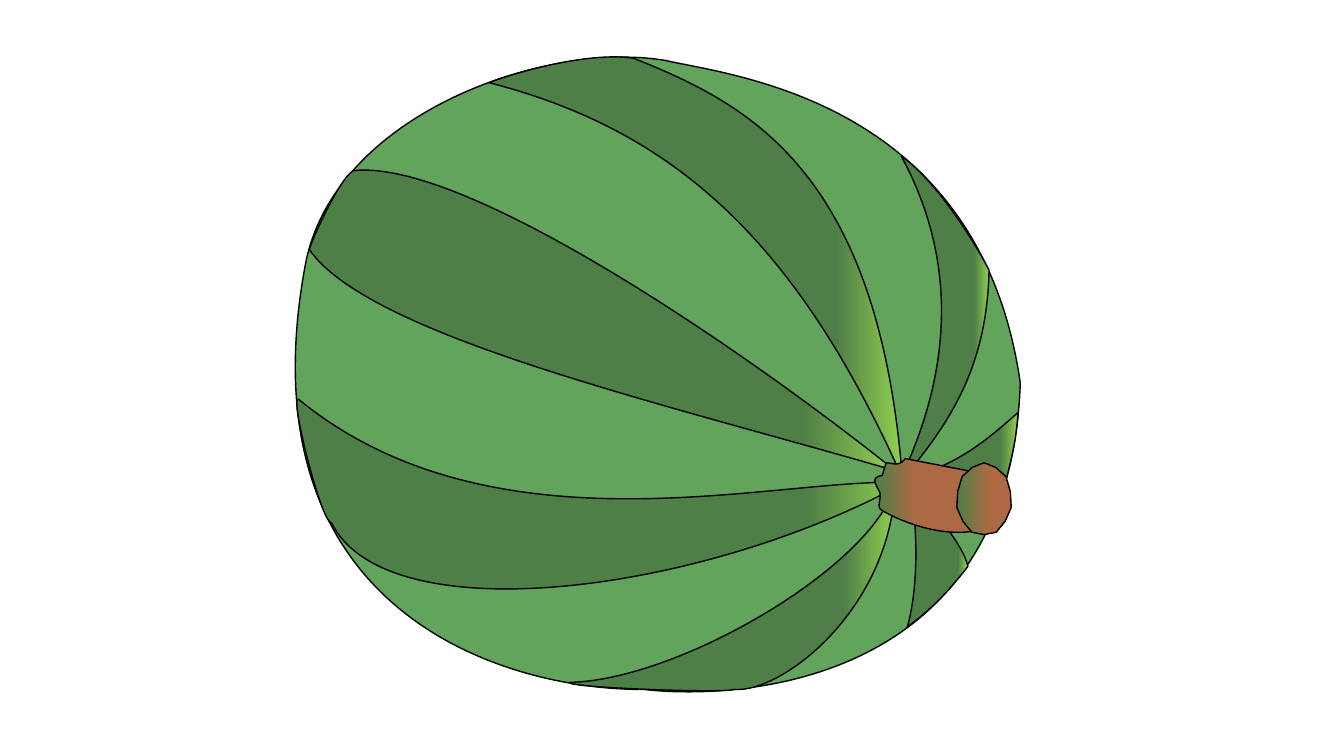
"""Draw a striped watermelon with a brown stem on one slide."""
from lxml.etree import SubElement
from pptx import Presentation
from pptx.dml.color import RGBColor
from pptx.enum.shapes import MSO_SHAPE
from pptx.oxml.ns import qn
from pptx.util import Pt

PX = 9144
BLACK, RIND, STRIPE, LIME, BROWN = "000000", "62A45C", "4E7F47", "92D050", "AD6943"


def paint(sp, colors, stop=0, angle=0):
    sp.shadow.inherit = False
    sp.line.color.rgb = RGBColor.from_string(BLACK)
    sp.line.width = Pt(1)
    if len(colors) == 1:
        sp.fill.solid()
        sp.fill.fore_color.rgb = RGBColor.from_string(colors[0])
        return
    sp.fill.gradient()
    sp.fill.gradient_angle = angle
    for gs, color, position in zip(sp.fill.gradient_stops, colors, (0, stop)):
        gs.color.rgb = RGBColor.from_string(color)
        gs.position = position


def outline(shapes, box, start, segments):
    """Fill a box with a closed outline of straight (x, y) and cubic (x1, y1, x2, y2, x, y) segments."""
    left, top, width, height = box
    builder = shapes.build_freeform(left, top, scale=PX)
    builder.add_line_segments([(left + width, top + height)], close=True)
    sp = builder.convert_to_shape()
    geometry = next(sp._element.iter(qn("a:path")))
    for child in list(geometry):
        geometry.remove(child)
    tags = {2: "a:lnTo", 6: "a:cubicBezTo"}
    steps = [("a:moveTo", start)] + [(tags[len(seg)], seg) for seg in segments]
    for tag, coords in steps:
        step = SubElement(geometry, qn(tag))
        for x, y in zip(coords[::2], coords[1::2]):
            SubElement(step, qn("a:pt"), x=str(x - left), y=str(y - top))
    SubElement(geometry, qn("a:close"))
    return sp


prs = Presentation()
prs.slide_width, prs.slide_height = 1333 * PX, 750 * PX
s = prs.slides.add_slide(prs.slide_layouts[6])
melon = s.shapes.add_group_shape().shapes

rind = outline(melon, (293, 57, 720, 630), (1012, 380), [
    (1001, 698, 703, 692, 639, 684),
    (503, 685, 238, 609, 303, 262),
    (332, 112, 543, 40, 660, 60),
    (725, 75, 972, 99, 1012, 380),
])
paint(rind, [RIND])

stripes = [
    ((485, 57, 410, 418), (485, 82), [
        (520, 69, 589, 51, 629, 58), (744, 104, 871, 170, 895, 474), (787, 232, 663, 128, 485, 82)]),
    ((307, 169, 581, 298), (307, 248), [
        (304, 249, 341, 166, 353, 169), (467, 160, 747, 354, 888, 467), (658, 400, 368, 334, 307, 248)]),
    ((294, 396, 603, 188), (329, 519), [
        (318, 518, 287, 391, 296, 396), (491, 556, 776, 472, 897, 479), (699, 588, 385, 630, 329, 519)]),
    ((565, 482, 323, 203), (728, 684), [
        (718, 688, 559, 682, 565, 677), (672, 675, 863, 564, 888, 482), (882, 606, 775, 688, 728, 684)]),
    ((900, 476, 60, 145), (903, 476), [
        (922, 505, 954, 536, 960, 562), (939, 589, 923, 605, 900, 622), (909, 589, 912, 541, 903, 476)]),
    ((895, 409, 115, 78), (895, 475), [
        (950, 463, 980, 435, 1010, 409), (1007, 435, 1008, 437, 995, 487), (963, 488, 929, 486, 895, 475)]),
    ((891, 155, 90, 325), (894, 155), [
        (925, 176, 963, 233, 981, 268), (979, 360, 946, 417, 891, 480), (925, 409, 966, 288, 894, 155)]),
]
for box, start, segments in stripes:
    paint(outline(melon, box, start, segments), [LIME, STRIPE], 0.16, 180)

stem = outline(melon, (868, 455, 103, 74), (879, 459), [
    (883, 459, 892, 464, 898, 455),
    (965, 468),
    (967, 475, 958, 485, 952, 487),
    (959, 512),
    (963, 517, 965, 505, 971, 526),
    (926, 536, 876, 508, 873, 505),
    (870, 502, 874, 495, 873, 490),
    (873, 486, 860, 473, 875, 472),
    (879, 459),
])
paint(stem, [STRIPE, BROWN], 0.39)

stem_end = melon.add_shape(MSO_SHAPE.STAR_7_POINT, 949 * PX, 459 * PX, 54 * PX, 69 * PX)
stem_end.adjustments[0] = 0.483
paint(stem_end, [STRIPE, BROWN], 0.6)

prs.save("out.pptx")
